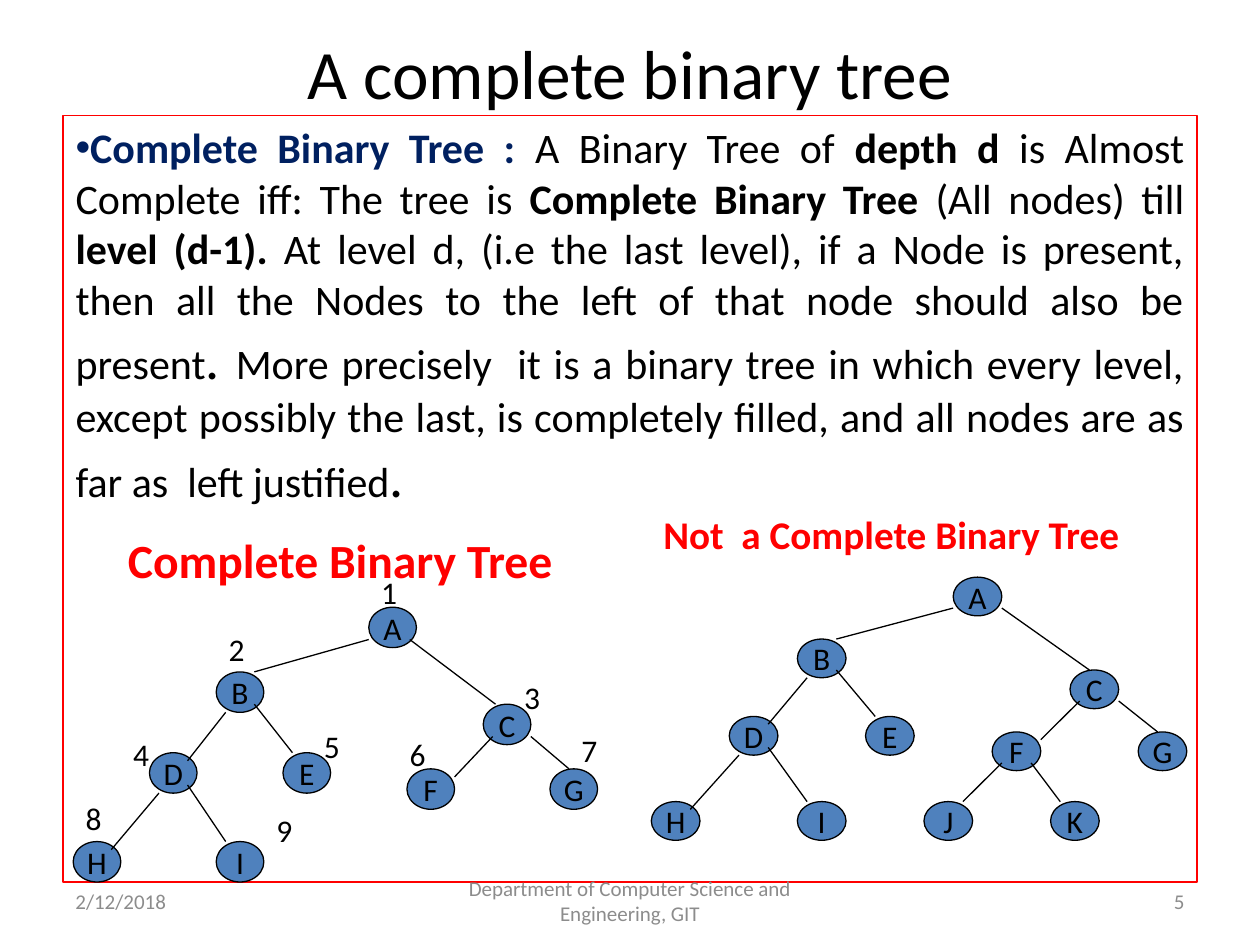
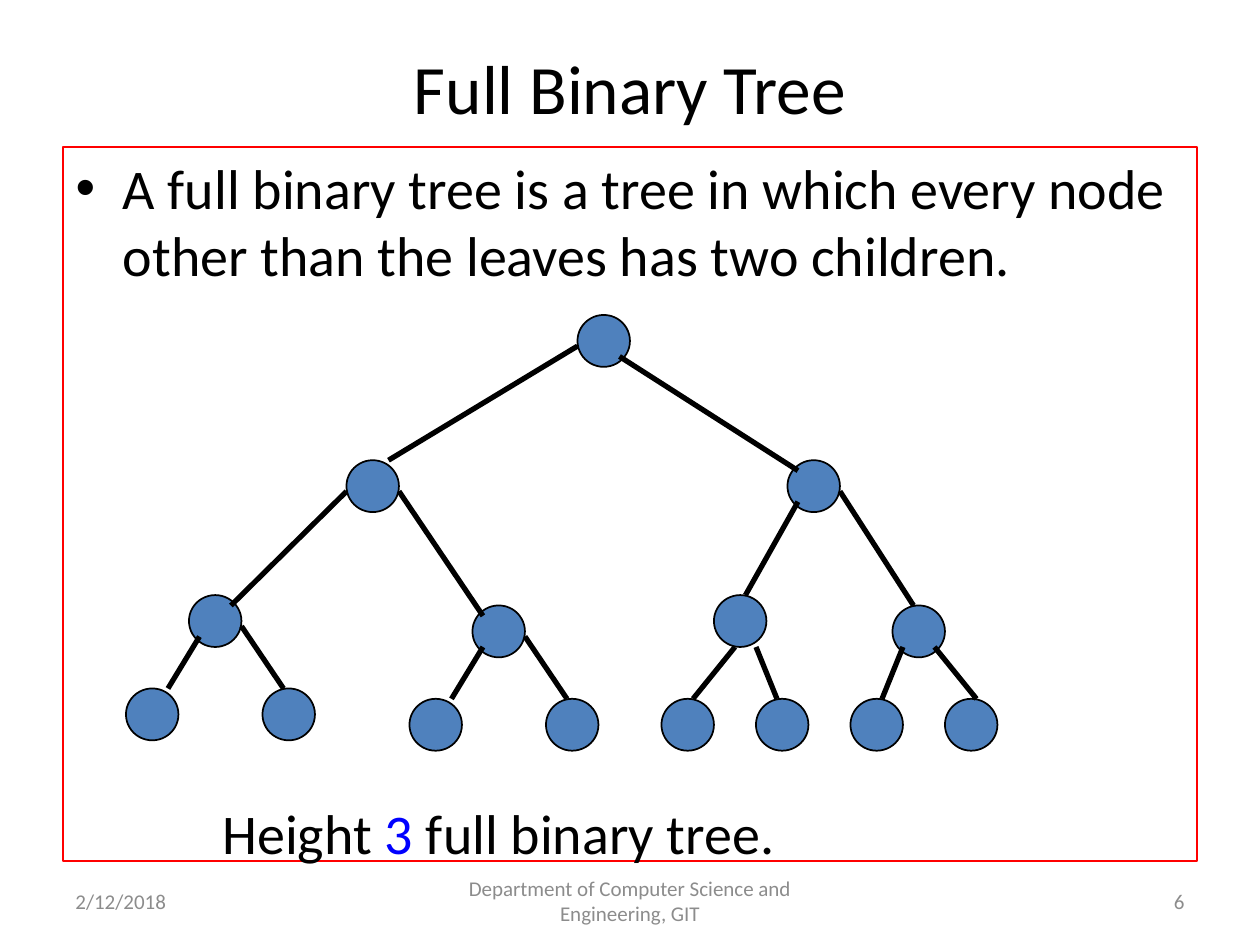
import dataclasses
import lxml.etree
import pptx
import pptx.dml.color
import pptx.enum.shapes
import pptx.enum.text
import pptx.oxml.ns
import pptx.util

Pt = pptx.util.Pt
ALIGN = pptx.enum.text.PP_ALIGN
ANCHOR = pptx.enum.text.MSO_ANCHOR


@dataclasses.dataclass(frozen=True)
class Theme:
    font: str = "Calibri"
    black: str = "000000"
    white: str = "FFFFFF"
    red: str = "FF0000"
    navy: str = "002060"
    blue: str = "0000FF"
    node: str = "4F81BD"
    grey: str = "8C8C8C"
    title: float = 39.6
    text: float = 32
    definition: float = 24
    heading: float = 27.2
    small_heading: float = 22.4
    label: float = 18
    footer: float = 12


THEME = Theme()
NODE_UNITS = 5  # a node is five grid units wide and high

# Nodes and edges in grid units from the top left of the tree
LETTERED_NODES = {
    "A": (31, 0), "B": (15, 8), "C": (43, 12), "D": (8, 18), "E": (22, 18),
    "F": (35, 20), "G": (50, 20), "H": (0, 29), "I": (15, 29),
}
LETTERED_EDGES = [
    (31, 4, 19, 8), (16, 13, 12, 19), (19, 12, 23, 18), (9, 23, 4, 30),
    (12, 22, 16, 29), (44, 16, 40, 21), (48, 16, 52, 20),
]
NUMBER_PLACES = [(31, -5), (15, 2), (46, 8), (5, 15), (25, 14),
                 (34, 15), (52, 14.5), (0, 23), (20, 24.5)]
EXTRA_NODES = {"J": (28, 29), "K": (41, 29)}
EXTRA_EDGES = [(36, 24, 32, 29), (39, 24, 42, 29)]

FULL_LEVELS = [
    [(43, 0)],
    [(21, 14), (63, 14)],
    [(6, 27), (33, 28), (56, 27), (73, 28)],
    [(0, 36), (13, 36)] + [(x, 37) for x in (27, 40, 51, 60, 69, 78)],
]
FULL_EDGES = [
    (43, 3, 25, 14), (47, 4, 64, 15),
    (21, 17, 10, 28), (26, 17, 34, 29), (64, 18, 59, 27), (68, 17, 75, 28),
    (7, 31, 4, 36), (11, 30, 15, 36), (34, 32, 31, 37), (38, 31, 42, 37),
    (58, 32, 54, 37), (60, 32, 62, 37), (74, 32, 72, 37), (77, 32, 81, 37),
]


def rgb(colour):
    return pptx.dml.color.RGBColor.from_string(colour)


def set_text(shape, runs, align=ALIGN.LEFT, **frame_format):
    """Fill one paragraph; each run is (text, size, colour, bold)."""
    frame = shape.text_frame
    settings = {"word_wrap": True, "auto_size": pptx.enum.text.MSO_AUTO_SIZE.NONE}
    for name, value in {**settings, **frame_format}.items():
        setattr(frame, name, value)
    paragraph = frame.paragraphs[0]
    paragraph.alignment = align
    for text, size, colour, bold in runs:
        run = paragraph.add_run()
        run.text = text
        for name, value in {"name": THEME.font, "size": Pt(size), "bold": bold}.items():
            setattr(run.font, name, value)
        run.font.color.rgb = rgb(colour)
    return paragraph


def place(shape, box):
    for name, value in zip(("left", "top", "width", "height"), box):
        setattr(shape, name, Pt(value))


def outline(shape, colour, width):
    shape.line.color.rgb = rgb(colour)
    shape.line.width = Pt(width)


def add_text(shapes, box, runs, align=ALIGN.LEFT, **frame_format):
    set_text(shapes.add_textbox(*map(Pt, box)), runs, align, **frame_format)


def add_page(presentation, title, title_box, body_box, number):
    """Add the title, the framed body and the footers; return slide and body."""
    slide = presentation.slides.add_slide(presentation.slide_layouts[1])
    heading, body = slide.placeholders
    place(heading, title_box)
    set_text(heading, [(title, THEME.title, THEME.black, False)],
             ALIGN.CENTER, vertical_anchor=ANCHOR.MIDDLE)
    place(body, body_box)
    outline(body, THEME.red, 0.75)
    # Footers
    for left, width, text, align in (
        (36, 168, "2/12/2018", ALIGN.LEFT),
        (246, 228, "Department of Computer Science and Engineering, GIT", ALIGN.CENTER),
        (516, 168, str(number), ALIGN.RIGHT),
    ):
        add_text(slide.shapes, (left, 500.5, width, 28.75),
                 [(text, THEME.footer, THEME.grey, False)],
                 align, vertical_anchor=ANCHOR.MIDDLE)
    return slide, body


def add_node(shapes, box, letter, line_width):
    node = shapes.add_shape(pptx.enum.shapes.MSO_SHAPE.OVAL, *map(Pt, box))
    node.shadow.inherit = False
    node.fill.solid()
    node.fill.fore_color.rgb = rgb(THEME.node)
    outline(node, THEME.black, line_width)
    if letter:
        set_text(node, [(letter, THEME.label, THEME.black, False)], ALIGN.CENTER,
                 word_wrap=False, vertical_anchor=ANCHOR.MIDDLE)


def add_edge(shapes, ends, width):
    edge = shapes.add_connector(pptx.enum.shapes.MSO_CONNECTOR.STRAIGHT, *map(Pt, ends))
    outline(edge, THEME.black, width)
    lxml.etree.SubElement(edge.element.spPr, pptx.oxml.ns.qn("a:effectLst"))


def add_tree(slide, box, columns, rows, nodes, edges, node_line, edge_line, numbers=()):
    """Draw a tree on a grid of columns by rows that fills the box."""
    left, top, width, height = box
    unit_x, unit_y = width / columns, height / rows

    def at(x, y):
        return left + x * unit_x, top + y * unit_y

    shapes = slide.shapes.add_group_shape().shapes
    for letter, position in nodes:
        add_node(shapes, (*at(*position), NODE_UNITS * unit_x, NODE_UNITS * unit_y),
                 letter, node_line)
    for x1, y1, x2, y2 in edges:
        add_edge(shapes, (*at(x1, y1), *at(x2, y2)), edge_line)
    for number, position in enumerate(numbers, 1):
        add_text(shapes, (*at(*position), 24, 27),
                 [(str(number), THEME.label, THEME.black, False)], word_wrap=False)


def build_complete_tree(presentation):
    slide, body = add_page(presentation, "A complete binary tree",
                           (36, 21.5, 648, 38.5), (36, 66, 648, 438), 5)
    # Definition
    size, large = THEME.definition, THEME.text
    paragraph = set_text(body, [
        ("Complete Binary Tree : ", size, THEME.navy, True),
        ("A Binary Tree of ", size, THEME.black, False),
        ("depth d ", size, THEME.black, True),
        ("is Almost Complete iff: The tree is ", size, THEME.black, False),
        ("Complete Binary Tree ", size, THEME.black, True),
        ("(All nodes) till ", size, THEME.black, False),
        ("level (d-1). ", size, THEME.black, True),
        ("At level d, (i.e the last level), if a Node is present, then all the Nodes "
         "to the left of that node should also be present", size, THEME.black, False),
        (". ", large, THEME.black, False),
        ("More precisely  it is a binary tree in which every level, except possibly "
         "the last, is completely filled, and all nodes are as far as  left justified",
         size, THEME.black, False),
        (".", large, THEME.black, False),
    ], ALIGN.JUSTIFY)
    paragraph.space_before = Pt(0)
    properties = paragraph._p.get_or_add_pPr()
    for name in ("marL", "indent"):
        properties.set(name, "0")
    # The two trees share their first nine nodes
    add_tree(slide, (41.8, 347, 299.7, 157), 55, 34, LETTERED_NODES.items(),
             LETTERED_EDGES + [(35.3, 4, 44.3, 12)], 0.75, 0.75, NUMBER_PLACES)
    add_tree(slide, (372.2, 329.8, 306, 150.4), 55, 34,
             (LETTERED_NODES | EXTRA_NODES).items(),
             LETTERED_EDGES + [(36, 4, 45, 12)] + EXTRA_EDGES, 0.75, 0.75)
    # Tree headings
    for box, text, heading_size in (
        ((66, 300, 264, 48), "Complete Binary Tree", THEME.heading),
        ((372, 288, 294, 48), "Not  a Complete Binary Tree", THEME.small_heading),
    ):
        add_text(slide.shapes, box, [(text, heading_size, THEME.red, True)])


def build_full_tree(presentation):
    slide, body = add_page(presentation, "Full Binary Tree",
                           (36, 21.5, 648, 56.5), (36, 84, 648, 408), 6)
    body.fill.solid()
    body.fill.fore_color.rgb = rgb(THEME.white)
    set_text(body, [("A full binary tree is a tree in which every node other than "
                     "the leaves has two children.", THEME.text, THEME.black, False)])
    # Tree of four levels
    nodes = [("", position) for level in FULL_LEVELS for position in level]
    add_tree(slide, (72, 180, 498, 249), 83, 42, nodes, FULL_EDGES, 1, 3)
    # Caption
    add_text(slide.shapes, (120, 453, 516, 45), [
        ("Height ", THEME.text, THEME.black, False),
        ("3", THEME.text, THEME.blue, False),
        (" full binary tree.", THEME.text, THEME.black, False),
    ])


presentation = pptx.Presentation()
presentation.slide_width, presentation.slide_height = Pt(720), Pt(540)
build_complete_tree(presentation)
build_full_tree(presentation)
presentation.save("out.pptx")
